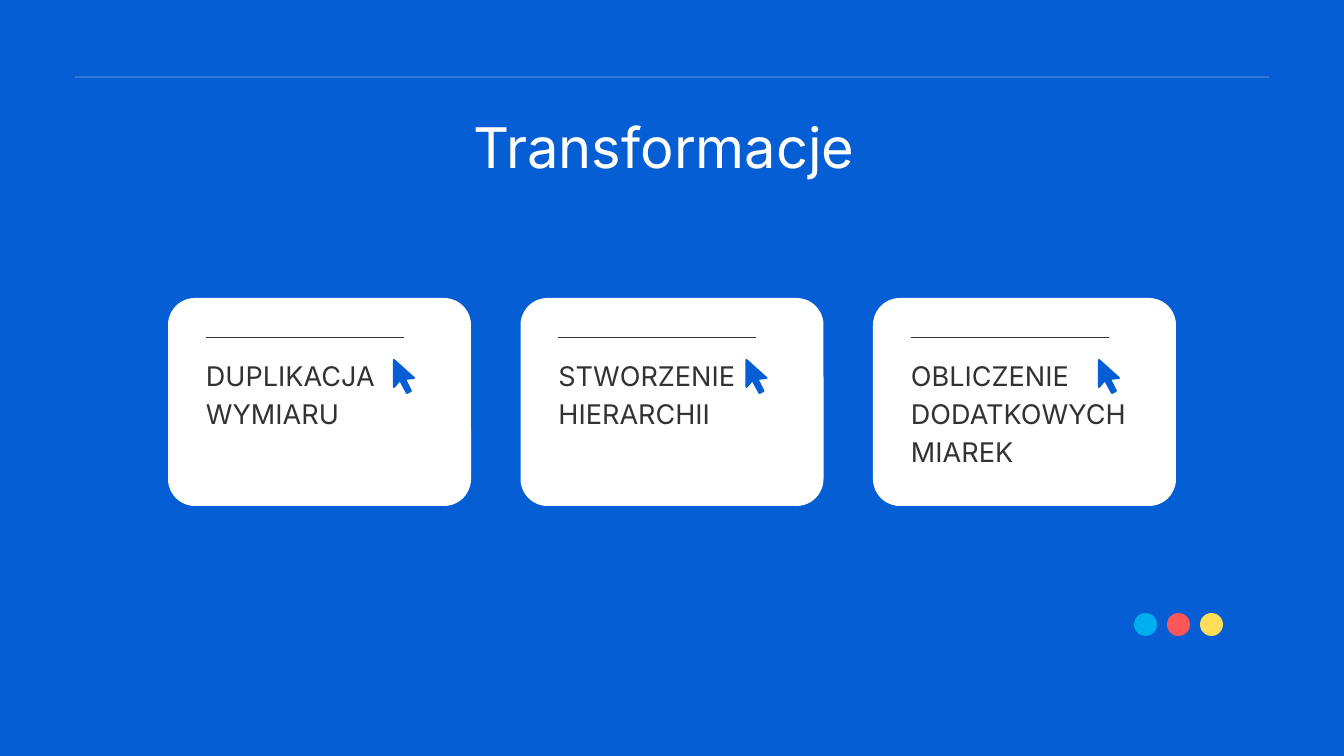
import pptx
import pptx.util
import pptx.dml.color
import pptx.enum.shapes
import pptx.enum.text
import pptx.oxml
import pptx.oxml.ns
from lxml import etree

TITLE = "Transformacje "
CARDS = [
    ["DUPLIKACJA", "WYMIARU"],
    ["STWORZENIE", "HIERARCHII"],
    ["OBLICZENIE", "DODATKOWYCH", "MIAREK"],
]
DOTS = ["00ADEF", "FF5757", "FFDE59"]
CURSOR = [(246, 80), (226, 62), (226, 89), (232, 82), (239, 95), (243, 93), (237, 81)]

THEME = {
    "font": "Inter",
    "blue": "065ED4",
    "white": "FFFFFF",
    "ink": "323232",
    "title_size": 60,
    "title_leading": 67.2,
    "card_size": 29,
    "card_leading": 40.6,
    "rule_width": 0.75,
}

PAGE_W, PAGE_H = 1344, 756
MARGIN = 75
CARDS_LEFT, CARDS_TOP, CARDS_SPAN = 168, 298, 1008
CARD_W, CARD_H, CARD_RADIUS = 303, 208, 27
CARD_PITCH = (CARDS_SPAN - CARD_W) / (len(CARDS) - 1)
INSET, RULE_W, TEXT_W, LINE_H = 38, 198, 227, 38
DOTS_LEFT, DOTS_TOP, DOT_SIZE, DOT_PITCH = 1134, 613, 23, 33
SHAPE = pptx.enum.shapes.MSO_SHAPE
ALIGN = pptx.enum.text.PP_ALIGN


def px(length):
    return round(length * pptx.util.Inches(20) / PAGE_W)


def rgb(code):
    return pptx.dml.color.RGBColor.from_string(code)


def paint(shape, color):
    shape.shadow.inherit = False
    shape.fill.solid()
    shape.fill.fore_color.rgb = rgb(color)
    shape.line.fill.background()


def add_preset(page, kind, left, top, width, height, color):
    shape = page.shapes.add_shape(kind, px(left), px(top), px(width), px(height))
    paint(shape, color)
    return shape


def add_rule(page, left, top, width, color, alpha=None):
    rule = page.shapes.add_connector(
        pptx.enum.shapes.MSO_CONNECTOR.STRAIGHT, px(left), px(top), px(left + width), px(top))
    rule.line.color.rgb = rgb(color)
    rule.line.width = pptx.util.Pt(THEME["rule_width"])
    properties = rule.line._get_or_add_ln().getparent()
    if alpha:
        tint = properties.find(".//" + pptx.oxml.ns.qn("a:srgbClr"))
        etree.SubElement(tint, pptx.oxml.ns.qn("a:alpha"), val=str(alpha * 1000))
    etree.SubElement(properties, pptx.oxml.ns.qn("a:effectLst"))


def write(box, lines, size, leading, color, align=ALIGN.LEFT):
    frame = box.text_frame
    frame.word_wrap = True
    frame.auto_size = pptx.enum.text.MSO_AUTO_SIZE.NONE
    frame.vertical_anchor = pptx.enum.text.MSO_ANCHOR.TOP
    frame.margin_left = frame.margin_right = frame.margin_top = frame.margin_bottom = 0
    for index, line in enumerate(lines):
        para = frame.add_paragraph() if index else frame.paragraphs[0]
        para.alignment = align
        para.line_spacing = pptx.util.Pt(leading)
        para.space_before = pptx.util.Pt(0)
        span = para.add_run()
        span.text = line
        span.font.name = THEME["font"]
        span.font.size = pptx.util.Pt(size)
        span.font.color.rgb = rgb(color)


def add_cursor(page, left, top):
    points = [(px(left + x), px(top + y)) for x, y in CURSOR]
    builder = page.shapes.build_freeform(*points[0])
    builder.add_line_segments(points[1:], close=True)
    cursor = builder.convert_to_shape()
    paint(cursor, THEME["blue"])
    cursor.line.color.rgb = rgb(THEME["blue"])
    cursor.line.width = px(2)
    etree.SubElement(cursor.line._get_or_add_ln(), pptx.oxml.ns.qn("a:round"))


def add_card(page, left, lines):
    card = add_preset(page, SHAPE.ROUNDED_RECTANGLE, left, CARDS_TOP, CARD_W, CARD_H, THEME["white"])
    card.adjustments[0] = CARD_RADIUS / CARD_H
    add_rule(page, left + INSET, CARDS_TOP + 39, RULE_W, THEME["ink"])
    add_cursor(page, left, CARDS_TOP)
    box = page.shapes.add_textbox(
        px(left + INSET), px(CARDS_TOP + 56), px(TEXT_W), px(LINE_H * len(lines)))
    write(box, lines, THEME["card_size"], THEME["card_leading"], THEME["ink"])


def main():
    deck = pptx.Presentation()
    deck.slide_width, deck.slide_height = px(PAGE_W), px(PAGE_H)
    page = deck.slides.add_slide(deck.slide_layouts[5])
    page.background.fill.solid()
    page.background.fill.fore_color.rgb = rgb(THEME["blue"])

    title = page.shapes.title
    title.left, title.top, title.width, title.height = px(253), px(117), px(838), px(64)
    write(title, [TITLE], THEME["title_size"], THEME["title_leading"], THEME["white"], ALIGN.CENTER)
    add_rule(page, MARGIN, 77, PAGE_W - 2 * MARGIN, THEME["white"], alpha=50)

    for index, lines in enumerate(CARDS):
        add_card(page, CARDS_LEFT + index * CARD_PITCH, lines)
    for index, color in enumerate(DOTS):
        add_preset(page, SHAPE.OVAL, DOTS_LEFT + index * DOT_PITCH, DOTS_TOP, DOT_SIZE, DOT_SIZE, color)

    deck.save("out.pptx")


if __name__ == "__main__":
    main()
